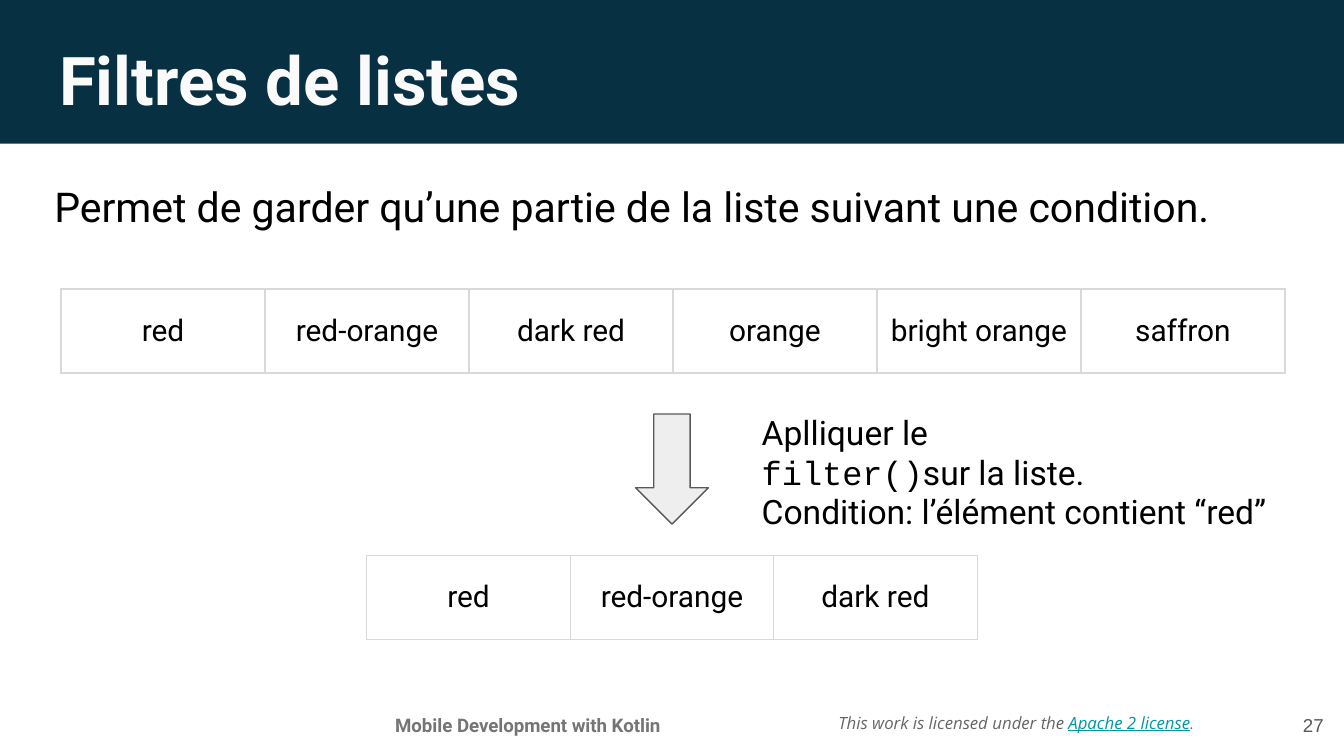
from dataclasses import dataclass

from lxml import etree
from pptx import Presentation
from pptx.dml.color import RGBColor
from pptx.enum import shapes, text
from pptx.oxml import ns
from pptx.util import Pt


@dataclass(frozen=True)
class Theme:
    """Colours, fonts and type sizes of the slide."""
    navy: str = "073042"
    white: str = "FAFAFA"
    ink: str = "000000"
    grey: str = "757575"
    dim: str = "666666"
    edge: str = "595959"
    pale: str = "EEEEEE"
    grid: str = "D9D9D9"
    link: str = "0097A7"
    sans: str = "Roboto"
    mono: str = "Courier New"
    note: str = "Open Sans"
    plain: str = "Arial"
    head: int = 36
    lead: int = 22
    body: int = 18
    cell: int = 16
    foot: int = 10
    tiny: int = 9


class Deck:
    """Draws elements on the current slide in one style."""

    def __init__(self, theme, wide, high):
        self.theme = theme
        self.prs = Presentation()
        self.prs.slide_width, self.prs.slide_height = Pt(wide), Pt(high)
        self.slide = self.prs.slides.add_slide(self.prs.slide_layouts[5])

    def style(self, font, size=None, color=None, name=None, **flags):
        """Set the given font properties."""
        if size:
            font.size = Pt(size)
        if color:
            font.color.rgb = RGBColor.from_string(color)
        if name:
            font.name = name
        for key, value in flags.items():
            setattr(font, key, value)

    def fill(self, frame, runs, size, color=None, name=None, align="LEFT", **flags):
        """Write one paragraph of (words, overrides) runs."""
        para = frame.paragraphs[0]
        para.alignment = getattr(text.PP_ALIGN, align)
        self.style(para.font, size, color or self.theme.ink, name or self.theme.sans, **flags)
        for words, extra in runs:
            run = para.add_run()
            run.text = words
            self.style(run.font, **extra)

    def inset(self, frame, anchor):
        """Apply the common margins, wrapping and anchor."""
        frame.word_wrap = True
        frame.auto_size = text.MSO_AUTO_SIZE.NONE
        frame.vertical_anchor = getattr(text.MSO_ANCHOR, anchor)
        frame.margin_left = frame.margin_right = Pt(7.2)
        frame.margin_top = frame.margin_bottom = Pt(7.2)

    def text(self, box, runs, size, anchor="TOP", **look):
        """Add a text box."""
        frame = self.slide.shapes.add_textbox(*map(Pt, box)).text_frame
        self.inset(frame, anchor)
        self.fill(frame, runs, size, **look)

    def title(self, box, words):
        """Place the title above everything drawn so far."""
        title = self.slide.shapes.title
        title.left, title.top, title.width, title.height = map(Pt, box)
        title.element.getparent().append(title.element)
        self.inset(title.text_frame, "TOP")
        self.fill(title.text_frame, [(words, {})], self.theme.head,
                  color=self.theme.white, bold=True)

    def shape(self, kind, box, color, line=None):
        """Add a filled preset shape."""
        shape = self.slide.shapes.add_shape(kind, *map(Pt, box))
        shape.shadow.inherit = False
        shape.fill.solid()
        shape.fill.fore_color.rgb = RGBColor.from_string(color)
        if line:
            shape.line.color.rgb = RGBColor.from_string(line)
            shape.line.width = Pt(0.75)
        else:
            shape.line.fill.background()

    def border(self, cell):
        """Draw a thin line on each side of a cell."""
        props = cell._tc.get_or_add_tcPr()
        for side in ("lnL", "lnR", "lnT", "lnB"):
            line = etree.SubElement(props, ns.qn(f"a:{side}"), w=str(Pt(0.75)))
            solid = etree.SubElement(line, ns.qn("a:solidFill"))
            etree.SubElement(solid, ns.qn("a:srgbClr"), val=self.theme.grid)

    def table(self, left, top, wide, high, items):
        """Add a one-row table of centred words."""
        table = self.slide.shapes.add_table(
            1, len(items), Pt(left), Pt(top), Pt(wide * len(items)), Pt(high)).table
        table.first_row = table.horz_banding = False
        for col, (cell, item) in enumerate(zip(table.iter_cells(), items)):
            table.columns[col].width = Pt(wide)
            self.border(cell)
            cell.fill.background()
            cell.vertical_anchor = text.MSO_ANCHOR.MIDDLE
            cell.margin_left = cell.margin_right = Pt(7.2)
            cell.margin_top = cell.margin_bottom = Pt(7.2)
            self.fill(cell.text_frame, [(item, {})], self.theme.cell, align="CENTER")


def main():
    look = Theme()
    deck = Deck(look, 720, 405)
    kinds = shapes.MSO_SHAPE

    deck.text((442, 370, 212, 34), [
        ("This work is licensed under the ", {"name": look.note}),
        ("Apache 2 license", {"name": look.note, "color": look.link, "underline": True}),
        (".", {}),
    ], look.tiny, anchor="MIDDLE", color=look.dim, italic=True)
    deck.shape(kinds.RECTANGLE, (-0.5, -3, 721, 80), look.navy)
    deck.text((180.7, 375, 204, 23), [("Mobile Development with Kotlin", {})],
              look.foot, color=look.grey, align="CENTER", bold=True)
    deck.title((24.5, 13.5, 671, 45.4), "Filtres de listes")
    deck.text((673, 373, 43.2, 31), [("27", {})], look.foot, anchor="MIDDLE",
              color=look.edge, name=look.plain, align="RIGHT")

    deck.text((22, 90, 686, 39), [
        ("Permet de garder qu’une partie de la liste suivant une condition.", {}),
    ], look.lead)
    reds = ["red", "red-orange", "dark red"]
    deck.table(32.7, 154.8, 109.3, 45, reds + ["orange", "bright orange", "saffron"])
    deck.table(196.5, 297.5, 109, 45, reds)
    deck.shape(kinds.DOWN_ARROW, (340.5, 221.8, 39, 59), look.pale, look.edge)
    deck.text((401, 213.5, 211, 39), [
        ("Aplliquer le ", {}),
        ("filter()", {"name": look.mono}),
        ("sur la liste.", {}),
    ], look.body)
    deck.text((401, 255.6, 298, 39), [("Condition: l’élément contient “red”", {})], look.body)
    deck.prs.save("out.pptx")


if __name__ == "__main__":
    main()
